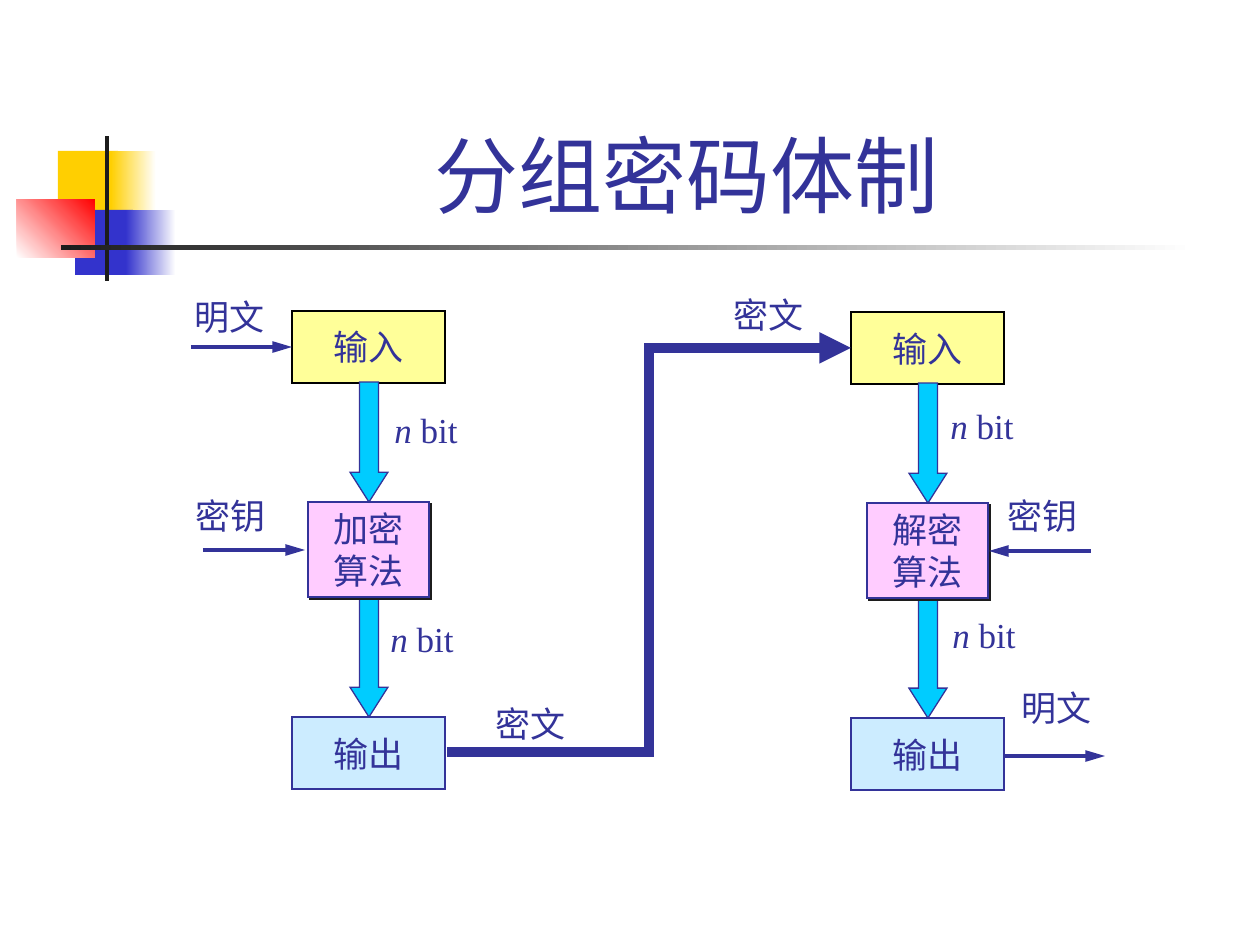
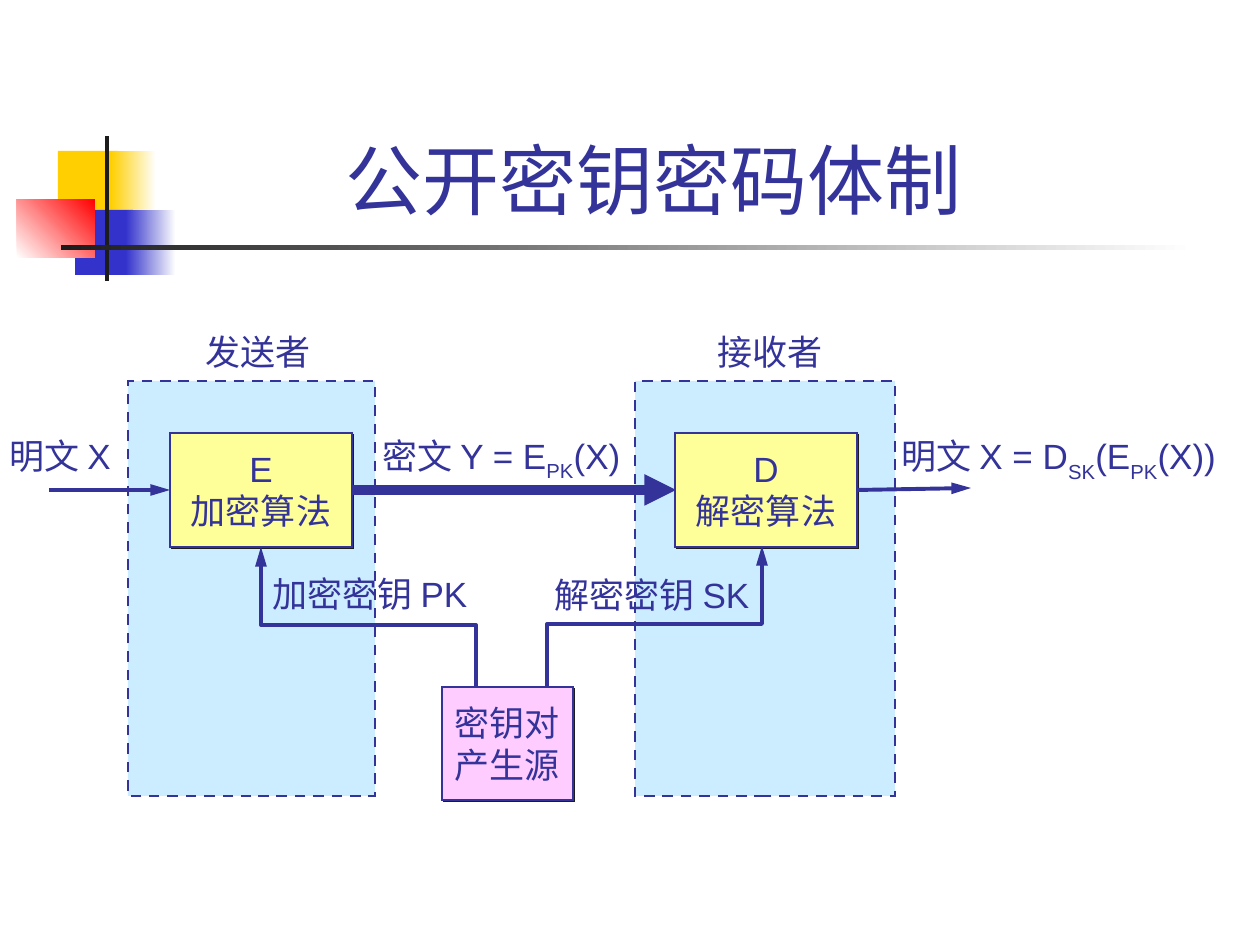
from lxml import etree
from pptx import Presentation
from pptx.dml.color import RGBColor
from pptx.enum.dml import MSO_LINE
from pptx.enum.shapes import MSO_CONNECTOR as CONN, MSO_SHAPE as SHAPE
from pptx.enum.text import MSO_ANCHOR as ANCHOR, PP_ALIGN as ALIGN
from pptx.oxml.ns import qn
from pptx.util import Emu, Pt

PX = 914400 / 126
INK, DARK, WHITE = "333399", "1C1C1C", "FFFFFF"
YELLOW, PINK, ICE, CYAN = "FFFF99", "FFCCFF", "CCECFF", "00CCFF"
SERIF, SANS = "Times New Roman", "Arial"
SLACK = 8  # spare label width, so that each label stays on one line

# Shared decoration: box, colour or (from, to), gradient angle
DECOR = [
    ((58, 151, 60, 65), "FFCF01", 0),
    ((111, 151, 45, 65), ("FFCF01", WHITE), 0),
    ((75, 210, 58, 65), "3333CC", 0),
    ((126, 210, 50, 65), ("3333CC", WHITE), 0),
    ((17, 199, 78, 59), (WHITE, "FF0000"), 45),
    ((105, 136, 4, 145), DARK, 0),
    ((61, 245, 1134, 5), (DARK, WHITE), 0),
]

# Slide 1: the same chain stands twice, at (x, y) with its algorithm name
CHAINS = [(292, 311, "加密"), (851, 312, "解密")]
N_BIT = [("n", "italic"), (" bit", None)]
BLOCK_ARROWS = [  # from, to, width in points
    ((191, 347), (292, 347), 2.25),
    ((203, 550), (305, 550), 2.25),
    ((1004, 756), (1105, 756), 2.25),
    ((1091, 551), (989, 551), 2.25),
]
CIPHER_PATH = ((447, 752), (851, 348))
BLOCK_LABELS = [  # left, top, width, text
    (183, 488, 95, "密钥"), (182, 289, 95, "明文"),
    (995, 488, 95, "密钥"), (1009, 680, 95, "明文"),
    (483, 696, 95, "密文"), (721, 287, 95, "密文"),
    (382, 402, 88, N_BIT), (378, 611, 88, N_BIT),
    (938, 398, 88, N_BIT), (940, 607, 88, N_BIT),
]

# Slide 2
ZONES = [(128, 381, 247, 415), (635, 381, 260, 415)]
KEY_BOXES = [
    ((170, 433, 182, 114), YELLOW, "E\n加密算法"),
    ((675, 433, 182, 114), YELLOW, "D\n解密算法"),
    ((442, 687, 131, 113), PINK, "密钥对\n产生源"),
]
KEY_ARROWS = [
    ((49, 490), (170, 490), 2.25),
    ((353, 490), (676, 490), 6),
    ((858, 490), (971, 488), 2.25),
]
KEY_PATHS = [
    [(476, 686), (476, 625), (261, 625), (261, 547)],
    [(547, 686), (547, 624), (762, 624), (762, 546)],
]
KEY_LABELS = [
    (193, 324, 130, "发送者"), (705, 324, 130, "接收者"),
    (260, 566, 228, "加密密钥 PK"), (542, 567, 228, "解密密钥 SK"),
    (-3, 428, 135, "明文 X"),
    (370, 428, 272, [("密文 Y = E", None), ("PK", -25), ("(X)", None)]),
    (889, 428, 348, [("明文 X = D", None), ("SK", -30), ("(E", None),
                     ("PK", -30), ("(X))", None)]),
]


def emu(*lengths):
    return [Emu(round(n * PX)) for n in lengths]


def rgb(code):
    return RGBColor.from_string(code)


def write(tf, text, font=SANS, size=20, align=ALIGN.LEFT, anchor=ANCHOR.TOP, wrap=True):
    """Fill a frame from a string with line breaks or a list of (text, style) runs."""
    tf.word_wrap = wrap
    tf.vertical_anchor = anchor
    lines = [[(t, None)] for t in text.split("\n")] if isinstance(text, str) else [text]
    for i, runs in enumerate(lines):
        p = tf.add_paragraph() if i else tf.paragraphs[0]
        p.alignment = align
        for t, style in runs:
            r = p.add_run()
            r.text = t
            r.font.name, r.font.size = font, Pt(size)
            r.font.color.rgb = rgb(INK)
            if style == "italic":
                r.font.italic = True
            elif style:
                r._r.get_or_add_rPr().set("baseline", str(style * 1000))


def set_line(sp, color, width, dash=False, sharp=True):
    """Style an outline, with sharp corners unless told otherwise; give its XML."""
    sp.line.color.rgb = rgb(color)
    sp.line.width = Pt(width)
    if dash:
        sp.line.dash_style = MSO_LINE.DASH
    ln = sp.line._get_or_add_ln()
    if sharp:
        etree.SubElement(ln, qn("a:miter"), lim="800000")
    return ln


def add_box(slide, box, fill, line=None, width=0.75, kind=SHAPE.RECTANGLE,
            angle=0, dash=False, shadow=False, text=None, font=SANS):
    sp = slide.shapes.add_shape(kind, *emu(*box))
    if isinstance(fill, tuple):
        sp.fill.gradient()
        sp.fill.gradient_angle = angle
        for stop, code in zip(sp.fill.gradient_stops, fill):
            stop.color.rgb = rgb(code)
    else:
        sp.fill.solid()
        sp.fill.fore_color.rgb = rgb(fill)
    if line:
        set_line(sp, line, width, dash)
    else:
        sp.line.fill.background()
    sp.shadow.inherit = False
    if shadow:
        effects = sp.element.spPr.find(qn("a:effectLst"))
        outer = etree.SubElement(effects, qn("a:outerShdw"), blurRad="0",
                                 dist=str(Pt(1.4)), dir="2700000", algn="ctr")
        etree.SubElement(outer, qn("a:srgbClr"), val=DARK)
    if text:
        write(sp.text_frame, text, font, align=ALIGN.CENTER,
              anchor=ANCHOR.MIDDLE, wrap=False)
    return sp


def style_arrow(sp, width, sharp=True):
    """Ink line with an arrowhead at its end and no shadow."""
    ln = set_line(sp, INK, width, sharp=sharp)
    etree.SubElement(ln, qn("a:tailEnd"), type="triangle", w="med",
                     len="lg" if width < 6 else "med")
    etree.SubElement(sp.element.spPr, qn("a:effectLst"))


def add_arrow(slide, start, end, width, kind=CONN.STRAIGHT):
    style_arrow(slide.shapes.add_connector(kind, *emu(*start, *end)), width)


def add_path(slide, points, width=2.25):
    builder = slide.shapes.build_freeform(*points[0], scale=PX)
    builder.add_line_segments(points[1:], close=False)
    sp = builder.convert_to_shape()
    sp.fill.background()
    style_arrow(sp, width, sharp=False)


def add_labels(slide, labels, font):
    for x, y, w, text in labels:
        tb = slide.shapes.add_textbox(*emu(x, y, w + SLACK, 55))
        write(tb.text_frame, text, font)


def new_slide(prs, title, size, width):
    slide = prs.slides.add_slide(prs.slide_layouts[6])
    for box, fill, angle in DECOR:
        add_box(slide, box, fill, angle=angle)
    tb = slide.shapes.add_textbox(*emu(159, 29, width, 202))
    write(tb.text_frame, title, size=size, align=ALIGN.CENTER, anchor=ANCHOR.BOTTOM)
    return slide


def add_chain(slide, x, y, name):
    """Input, algorithm and output, joined by two block arrows."""
    def down_arrow(top):
        sp = add_box(slide, (x + 58, top, 38, 120), CYAN, INK, kind=SHAPE.DOWN_ARROW)
        sp.adjustments[1] = 0.785

    down_arrow(y + 286)
    add_box(slide, (x, y, 153, 72), YELLOW, "000000", 1.5, text="输入", font=SERIF)
    add_box(slide, (x, y + 406, 153, 72), ICE, INK, 1.5, text="输出", font=SERIF)
    add_box(slide, (x + 16, y + 191, 121, 95), PINK, INK, 1, shadow=True,
            text=name + "\n算法", font=SERIF)
    down_arrow(y + 71)


def block_cipher(prs):
    slide = new_slide(prs, "分组密码体制 ", 48, 1074)
    for chain in CHAINS:
        add_chain(slide, *chain)
    for arrow in BLOCK_ARROWS:
        add_arrow(slide, *arrow)
    add_arrow(slide, *CIPHER_PATH, 6, CONN.ELBOW)
    add_labels(slide, BLOCK_LABELS, SERIF)


def public_key(prs):
    slide = new_slide(prs, "公开密钥密码体制 ", 44, 1007)
    for zone in ZONES:
        add_box(slide, zone, ICE, INK, 1.5, dash=True)
    for box, fill, text in KEY_BOXES:
        add_box(slide, box, fill, INK, shadow=True, text=text)
    for arrow in KEY_ARROWS:
        add_arrow(slide, *arrow)
    for points in KEY_PATHS:
        add_path(slide, points)
    add_labels(slide, KEY_LABELS, SANS)


def main():
    prs = Presentation()
    prs.slide_width, prs.slide_height = emu(1260, 945)
    block_cipher(prs)
    public_key(prs)
    prs.save("out.pptx")


if __name__ == "__main__":
    main()
